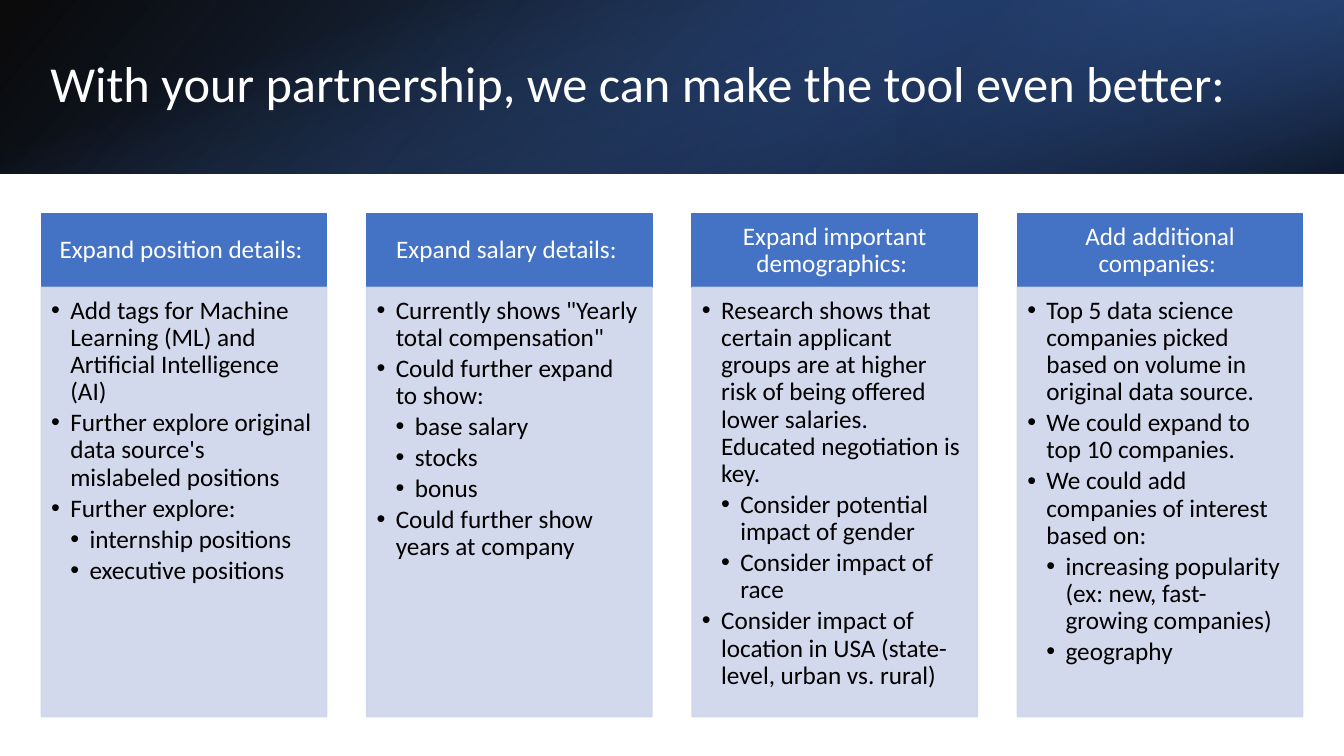
from lxml.etree import SubElement
from pptx import Presentation
from pptx.dml.color import RGBColor
from pptx.enum.shapes import MSO_SHAPE
from pptx.enum.text import MSO_ANCHOR, PP_ALIGN
from pptx.oxml import parse_xml
from pptx.oxml.ns import nsdecls, qn
from pptx.util import Inches, Pt

TITLE = "With your partnership, we can make the tool even better:"

# Each column: heading, then (level, bullet text)
COLUMNS = [
    ("Expand position details: ", [
        (1, "Add tags for Machine Learning (ML) and Artificial Intelligence (AI)"),
        (1, "Further explore original data source's mislabeled positions"),
        (1, "Further explore:"),
        (2, "internship positions"),
        (2, "executive positions"),
    ]),
    ("Expand salary details: ", [
        (1, 'Currently shows "Yearly total compensation"'),
        (1, "Could further expand to show:"),
        (2, "base salary"),
        (2, "stocks"),
        (2, "bonus"),
        (1, "Could further show years at company"),
    ]),
    ("Expand important demographics: ", [
        (1, "Research shows that certain applicant groups are at higher risk of "
            "being offered lower salaries. Educated negotiation is key."),
        (2, "Consider potential impact of gender"),
        (2, "Consider impact of race"),
        (1, "Consider impact of location in USA (state-level, urban vs. rural)"),
    ]),
    ("Add additional companies: ", [
        (1, "Top 5 data science companies picked based on volume in original data source."),
        (1, "We could expand to top 10 companies."),
        (1, "We could add companies of interest based on:"),
        (2, "increasing popularity (ex: new, fast-growing companies)"),
        (2, "geography"),
    ]),
]

WHITE = RGBColor(0xFF, 0xFF, 0xFF)
BLACK = RGBColor(0x00, 0x00, 0x00)
NAVY = RGBColor(0x20, 0x38, 0x64)
DEEP_BLUE = RGBColor(0x2F, 0x55, 0x97)
BLUE = RGBColor(0x44, 0x72, 0xC4)
PALE_BLUE = RGBColor(0xCF, 0xD5, 0xEA)

SLIDE_W, SLIDE_H, BANNER_H = 13.33, 7.5, 1.72
# Banner layers: box, rotation, flipped, gradient angle, stops (position, colour, opacity)
BANNER_LAYERS = [
    ((0, 0, SLIDE_W, BANNER_H), 0, True, 140,
     [(0, BLACK, 96), (100, DEEP_BLUE, 100)]),
    ((8.89, 0, 4.44, BANNER_H), 180, True, 320,
     [(19, NAVY, 68), (100, BLUE, 79)]),
    (((SLIDE_W - BANNER_H) / 2, (BANNER_H - SLIDE_W) / 2, BANNER_H, SLIDE_W), 90, False, 340,
     [(23, BLUE, 0), (99, BLACK, 74)]),
]

COLUMN_LEFT, COLUMN_PITCH, COLUMN_W = 0.41, 3.227, 2.83
HEADING_TOP, HEADING_H, BODY_H = 2.12, 0.73, 4.26
INDENT = 0.19


def add_rect(slide, box):
    rect = slide.shapes.add_shape(MSO_SHAPE.RECTANGLE, *map(Inches, box))
    rect.shadow.inherit = False
    return rect


def add_banner_layer(slide, box, rotation, flipped, angle, stops):
    layer = add_rect(slide, box)
    layer.rotation = rotation
    layer.line.fill.background()
    properties = layer.fill._xPr
    if flipped:
        properties.find(qn("a:xfrm")).set("flipH", "1")
    stops_xml = "".join(
        f'<a:gs pos="{position * 1000}"><a:srgbClr val="{color}">'
        f'<a:alpha val="{opacity * 1000}"/></a:srgbClr></a:gs>'
        for position, color, opacity in stops)
    gradient = parse_xml(
        f'<a:gradFill {nsdecls("a")} rotWithShape="1"><a:gsLst>{stops_xml}</a:gsLst>'
        f'<a:lin ang="{angle * 60000}" scaled="0"/></a:gradFill>')
    properties.find(qn("a:prstGeom")).addnext(gradient)


def add_panel(slide, box, color, opacity=100):
    panel = add_rect(slide, box)
    panel.line.width = Pt(1)
    for fill in (panel.fill, panel.line.fill):
        fill.solid()
        fill.fore_color.rgb = color
    if opacity < 100:
        for color_element in panel.fill._xPr.iter(qn("a:srgbClr")):
            SubElement(color_element, qn("a:alpha"), val=str(opacity * 1000))
    return panel


def write_text(shape, lines, size=18, color=BLACK, align=PP_ALIGN.LEFT,
               anchor=MSO_ANCHOR.TOP, insets=(0.1, 0.05, 0.1, 0.05), space_after=0):
    """Fill a shape with (level, text) lines; level 0 has no bullet."""
    frame = shape.text_frame
    frame.word_wrap = True
    frame.vertical_anchor = anchor
    (frame.margin_left, frame.margin_top,
     frame.margin_right, frame.margin_bottom) = map(Inches, insets)
    for index, (level, text) in enumerate(lines):
        paragraph = frame.add_paragraph() if index else frame.paragraphs[0]
        paragraph.alignment = align
        paragraph.line_spacing = 0.9
        paragraph.space_after = Pt(space_after)
        run = paragraph.add_run()
        run.text = text
        run.font.name = "Calibri"
        run.font.size = Pt(size)
        run.font.color.rgb = color
        if level:
            paragraph.level = level
            properties = paragraph._p.get_or_add_pPr()
            properties.set("marL", str(Inches(INDENT * level)))
            properties.set("indent", str(-Inches(INDENT)))
            SubElement(properties, qn("a:buFont"), typeface="Arial")
            SubElement(properties, qn("a:buChar"), char="•")


def main():
    deck = Presentation()
    deck.slide_width, deck.slide_height = Inches(SLIDE_W), Inches(SLIDE_H)
    slide = deck.slides.add_slide(deck.slide_layouts[6])

    for layer in BANNER_LAYERS:
        add_banner_layer(slide, *layer)
    title = slide.shapes.add_textbox(*map(Inches, (0.4, 0.38, 12.08, 0.96)))
    write_text(title, [(0, TITLE)], size=36, color=WHITE, anchor=MSO_ANCHOR.MIDDLE)

    for index, (heading, bullets) in enumerate(COLUMNS):
        left = COLUMN_LEFT + index * COLUMN_PITCH
        heading_panel = add_panel(slide, (left, HEADING_TOP, COLUMN_W, HEADING_H), BLUE)
        write_text(heading_panel, [(0, heading)], color=WHITE, align=PP_ALIGN.CENTER,
                   anchor=MSO_ANCHOR.MIDDLE, insets=(0.14, 0.08, 0.14, 0.08))
        body_panel = add_panel(slide, (left, HEADING_TOP + HEADING_H, COLUMN_W, BODY_H),
                               PALE_BLUE, opacity=90)
        write_text(body_panel, bullets, insets=(0.1, 0.1, 0.14, 0.16), space_after=2.7)

    deck.save("out.pptx")


if __name__ == "__main__":
    main()
